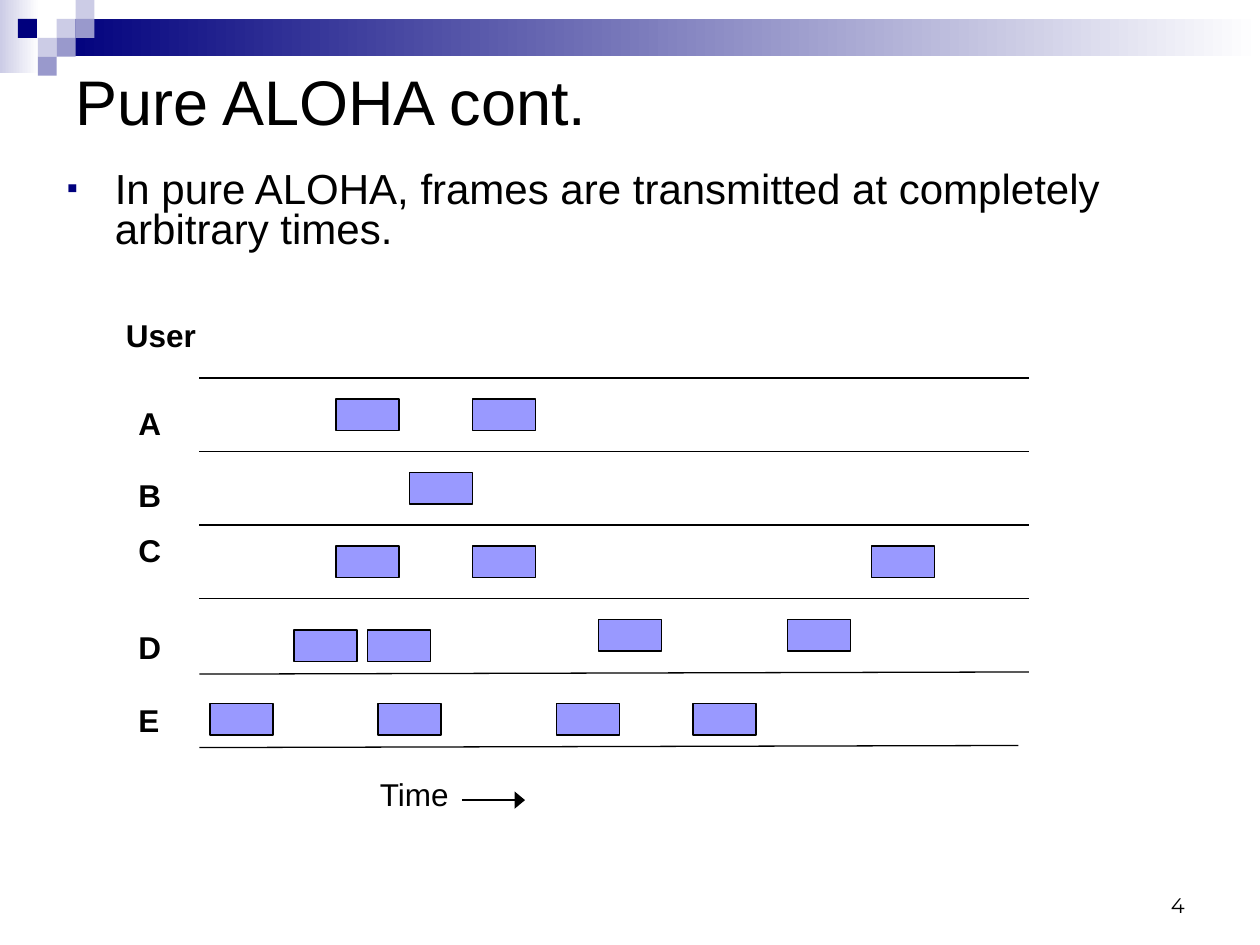
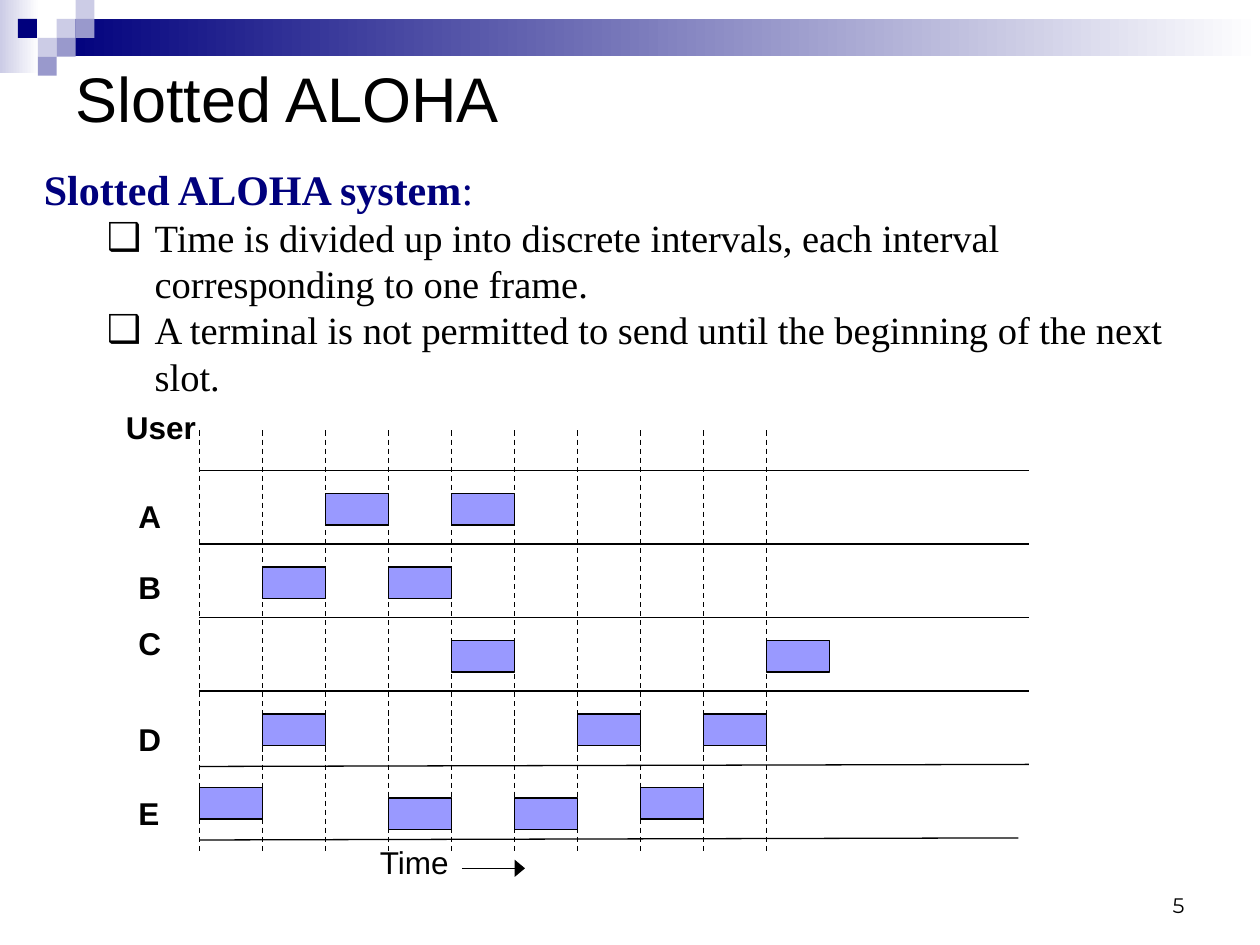
from dataclasses import dataclass
from typing import Optional

from lxml.etree import SubElement
from pptx import Presentation
from pptx.dml.color import RGBColor
from pptx.enum.dml import MSO_LINE
from pptx.enum.shapes import MSO_CONNECTOR, MSO_SHAPE
from pptx.enum.text import MSO_ANCHOR, MSO_AUTO_SIZE, PP_ALIGN
from pptx.oxml.ns import qn
from pptx.util import Emu, Inches, Pt

COLORS = {
    "navy": "00007D",
    "lavender": "CCCCE6",
    "violet": "9999CC",
    "frame": "9999FF",
    "ink": "000000",
    "paper": "FFFFFF",
}

# The page is a grid of 120 columns and 90 rows
COLUMNS, ROWS = 120, 90
WIDTH, HEIGHT = Inches(10), Inches(7.5)
HEADER_CELL = 1.8

# Timeline measures, in grid cells
LANE_LEFT, LANE_RIGHT, LANE_PITCH = 19, 98, 7
FRAME_WIDTH, FRAME_HEIGHT = 6, 3
SLOT_COUNT = 10
USER_ROWS = {"A": 1.9, "B": 8.75, "C": 14, "D": 23.2, "E": 30.2}


@dataclass(frozen=True)
class Box:
    left: float
    top: float
    width: float
    height: float


@dataclass(frozen=True)
class Style:
    size: float = 18
    font: str = "Arial"
    color: str = "ink"
    bold: bool = False


@dataclass(frozen=True)
class Bullet:
    char: str
    color: str
    margin: float
    percent: int = 100


@dataclass(frozen=True)
class Line:
    spans: list[tuple[str, Style]]
    bullet: Optional[Bullet] = None
    spacing: float = 1.0


@dataclass(frozen=True)
class HeaderBlock:
    column: float
    row: float
    color: str
    width: float = 1
    height: float = 1
    fades: bool = False


@dataclass(frozen=True)
class Frame:
    user: str
    column: int
    nudge: int = 0


@dataclass(frozen=True)
class Timeline:
    top: float
    frame_drop: float
    time_drop: float
    frames: list[Frame]
    slotted: bool = False


@dataclass(frozen=True)
class Page:
    number: int
    title: str
    title_height: float
    body: Box
    lines: list[Line]
    timeline: Timeline


HEADER = [
    HeaderBlock(0, 0, "lavender", 2.07, 3.87, fades=True),
    HeaderBlock(3, 1, "navy", 63.67, 1.97, fades=True),
    HeaderBlock(3, 1, "lavender"),
    HeaderBlock(4, 0, "lavender"),
    HeaderBlock(4, 1, "violet"),
    HeaderBlock(2, 2, "lavender"),
    HeaderBlock(0.95, 1, "navy"),
    HeaderBlock(3, 2, "violet"),
    HeaderBlock(2, 3, "violet"),
]

TITLE = Style(36)
LABEL = Style(bold=True)
SERIF = Style(22, "Times New Roman")
SQUARE = Bullet("▪", "navy", 0.38, 75)
CHECKBOX = Bullet("❑", "ink", 0.88)

PAGES = [
    Page(
        4, "Pure ALOHA cont.", 7.2, Box(5.2, 15.8, 108, 9.5),
        [Line([("In pure ALOHA, frames are transmitted at completely "
                "arbitrary times.", Style(24))], SQUARE, 0.8)],
        Timeline(36, 2, 37.2, [
            Frame("A", 13), Frame("A", 26),
            Frame("B", 20),
            Frame("C", 13), Frame("C", 26), Frame("C", 64),
            Frame("D", 9, 1), Frame("D", 16, 1), Frame("D", 38), Frame("D", 56),
            Frame("E", 1, 1), Frame("E", 17, 1), Frame("E", 34, 1), Frame("E", 47, 1),
        ]),
    ),
    Page(
        5, "Slotted ALOHA", 6.6, Box(3, 15, 114, 23.6),
        [
            Line([("Slotted ALOHA system", Style(24, SERIF.font, "navy", True)),
                  (":", Style(24, SERIF.font, "navy"))]),
            Line([("Time is divided up into discrete intervals, each interval "
                   "corresponding to one frame.", SERIF)], CHECKBOX),
            Line([("A terminal is not permitted to send until the beginning "
                   "of the next slot.", SERIF)], CHECKBOX),
        ],
        Timeline(44.8, 2.2, 34.9, [
            Frame("A", 12), Frame("A", 24),
            Frame("B", 6), Frame("B", 18),
            Frame("C", 24), Frame("C", 54),
            Frame("D", 6), Frame("D", 36), Frame("D", 48),
            Frame("E", 0), Frame("E", 18, 1), Frame("E", 30, 1), Frame("E", 42),
        ], slotted=True),
    ),
]


def rgb(name: str) -> RGBColor:
    return RGBColor.from_string(COLORS[name])


def across(columns: float) -> Emu:
    return Emu(round(WIDTH * columns / COLUMNS))


def down(rows: float) -> Emu:
    return Emu(round(HEIGHT * rows / ROWS))


def place(box: Box) -> tuple:
    return across(box.left), down(box.top), across(box.width), down(box.height)


def add_rectangle(page, box: Box, color: str, outlined: bool = False, fades: bool = False):
    shape = page.shapes.add_shape(MSO_SHAPE.RECTANGLE, *place(box))
    shape.shadow.inherit = False
    if fades:
        shape.fill.gradient()
        shape.fill.gradient_angle = 0
        for stop, name, position in zip(shape.fill.gradient_stops, (color, "paper"), (0, 1)):
            stop.color.rgb = rgb(name)
            stop.position = position
    else:
        shape.fill.solid()
        shape.fill.fore_color.rgb = rgb(color)
    if outlined:
        shape.line.color.rgb = rgb("ink")
        shape.line.width = Pt(0.75)
    else:
        shape.line.fill.background()


def add_rule(page, start: tuple, end: tuple, dashed: bool = False, arrow: bool = False):
    rule = page.shapes.add_connector(
        MSO_CONNECTOR.STRAIGHT, across(start[0]), down(start[1]), across(end[0]), down(end[1]))
    rule.line.color.rgb = rgb("ink")
    rule.line.width = Pt(0.75)
    if dashed:
        rule.line.dash_style = MSO_LINE.DASH
    if arrow:
        SubElement(rule.line._get_or_add_ln(), qn("a:tailEnd"), type="triangle", w="lg")
    SubElement(rule._element.spPr, qn("a:effectLst"))


def set_bullet(para, bullet: Bullet):
    properties = para._p.get_or_add_pPr()
    properties.set("marL", str(Inches(bullet.margin)))
    properties.set("indent", str(Inches(-0.38)))
    color = SubElement(properties, qn("a:buClr"))
    SubElement(color, qn("a:srgbClr"), val=COLORS[bullet.color])
    SubElement(properties, qn("a:buSzPct"), val=str(bullet.percent * 1000))
    SubElement(properties, qn("a:buFont"), typeface="Arial")
    SubElement(properties, qn("a:buChar"), char=bullet.char)


def add_text(page, box: Box, lines: list[Line], wrap: bool = True,
             anchor=MSO_ANCHOR.TOP, align=PP_ALIGN.LEFT):
    frame = page.shapes.add_textbox(*place(box)).text_frame
    frame.word_wrap = wrap
    if not wrap:
        frame.auto_size = MSO_AUTO_SIZE.SHAPE_TO_FIT_TEXT
    frame.vertical_anchor = anchor
    for index, line in enumerate(lines):
        para = frame.add_paragraph() if index else frame.paragraphs[0]
        if line.bullet:
            set_bullet(para, line.bullet)
        para.alignment = align
        para.line_spacing = line.spacing
        for text, style in line.spans:
            span = para.add_run()
            span.text = text
            span.font.size = Pt(style.size)
            span.font.name = style.font
            span.font.bold = style.bold
            span.font.color.rgb = rgb(style.color)


def add_label(page, left: float, top: float, width: float, text: str, style: Style):
    add_text(page, Box(left, top, width, 4.8), [Line([(text, style)])], wrap=False)


def draw_header(page):
    for block in HEADER:
        sides = (block.column, block.row, block.width, block.height)
        add_rectangle(page, Box(*(side * HEADER_CELL for side in sides)),
                      block.color, fades=block.fades)


def draw_timeline(page, chart: Timeline):
    # User names
    add_label(page, 10.8, chart.top - 6.5, 9.2, "User", LABEL)
    for user, row in USER_ROWS.items():
        add_label(page, 12, chart.top + row, 4.5, user, LABEL)

    # Lane rules; the last two rise slightly and the lowest is shorter
    lanes = len(USER_ROWS)
    for lane in range(lanes + 1):
        row = chart.top + lane * LANE_PITCH
        rise = 0.2 if lane >= lanes - 1 else 0
        right = LANE_RIGHT - (1 if lane == lanes else 0)
        add_rule(page, (LANE_LEFT, row + rise), (right, row))

    # Time axis
    time_row = chart.top + chart.time_drop
    add_label(page, 35, time_row, 9, "Time", Style())
    add_rule(page, (44, time_row + 3), (50, time_row + 3), arrow=True)

    # Transmitted frames
    users = list(USER_ROWS)
    for frame in chart.frames:
        row = chart.top + users.index(frame.user) * LANE_PITCH + chart.frame_drop + frame.nudge
        add_rectangle(page, Box(LANE_LEFT + frame.column, row, FRAME_WIDTH, FRAME_HEIGHT),
                      "frame", outlined=True)

    # Slot boundaries
    if chart.slotted:
        for slot in range(SLOT_COUNT):
            column = LANE_LEFT + slot * FRAME_WIDTH
            add_rule(page, (column, chart.top - 3.8), (column, chart.top + 36.2), dashed=True)


def draw_page(deck, content: Page):
    page = deck.slides.add_slide(deck.slide_layouts[6])
    draw_header(page)
    add_text(page, Box(86, 82, 28, 6), [Line([(str(content.number), Style(12, "Montserrat"))])],
             anchor=MSO_ANCHOR.BOTTOM, align=PP_ALIGN.RIGHT)
    add_text(page, Box(6, 6, 104, content.title_height), [Line([(content.title, TITLE)])],
             anchor=MSO_ANCHOR.MIDDLE)
    add_text(page, content.body, content.lines)
    draw_timeline(page, content.timeline)


def main():
    deck = Presentation()
    deck.slide_width, deck.slide_height = WIDTH, HEIGHT
    for content in PAGES:
        draw_page(deck, content)
    deck.save("out.pptx")


if __name__ == "__main__":
    main()
